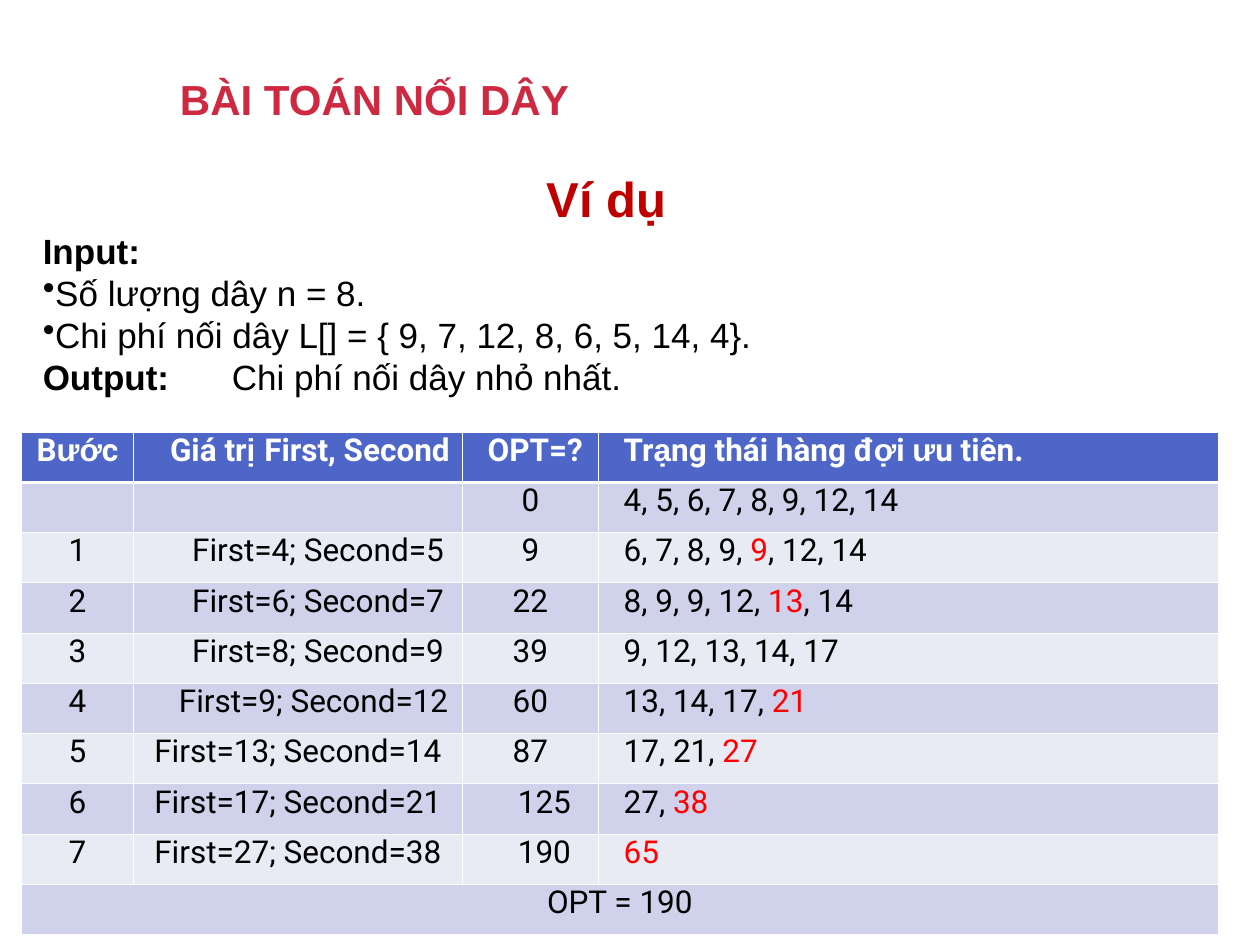
from lxml import etree
from pptx import Presentation
from pptx import util as u
from pptx.dml.color import RGBColor
from pptx.enum import text
from pptx.oxml import ns

CRIMSON = RGBColor(0xCF, 0x29, 0x41)
DARK_RED = RGBColor(0xC0, 0x00, 0x00)
RED = RGBColor(0xFF, 0x00, 0x00)
BLACK = RGBColor(0x00, 0x00, 0x00)
WHITE = RGBColor(0xFF, 0xFF, 0xFF)
HEADER_BLUE = RGBColor(0x4D, 0x66, 0xC7)
BAND_DARK = RGBColor(0xCF, 0xD2, 0xEA)
BAND_LIGHT = RGBColor(0xE8, 0xEA, 0xF4)

LEFT, CENTER, RIGHT = text.PP_ALIGN.LEFT, text.PP_ALIGN.CENTER, text.PP_ALIGN.RIGHT

HEADER = ["B|ướ|c", "Giá tr|ị |First, Second", "OPT=?", "Tr|ạ|ng thái hàng đ|ợ|i |ư|u tiên."]
HEADER_LAYOUT = [(CENTER, 0), (RIGHT, 0), (LEFT, 0.1), (LEFT, 0.1)]
STEPS = [
    ["", "", "0", "4, 5, 6, 7, 8, 9, 12, 14"],
    ["1", "First=4; Second=5", "9", "6, 7, 8, 9, |9|, 12, 14"],
    ["2", "First=6; Second=7", "22", "8, 9, 9, 12, |13|, 14"],
    ["3", "First=8; Second=9", "39", "9, 12, 13, 14, 17"],
    ["4", "First=9; Second=12", "60", "13, 14, 17, |21"],
    ["5", "First=13; Second=14", "87", "17, 21, |27"],
    ["6", "First=17; Second=21", "125", "27, |38"],
    ["7", "First=27; Second=38", "190", "|65"],
]
PAIR_INDENTS = {17: 0.32, 18: 0.25}


class SlideBuilder:
    def __init__(self, slide):
        self.slide = slide
        self.body = {"name": "Arial", "size": u.Pt(20), "bold": False, "color": BLACK}
        self.cell_font = {**self.body, "name": "Roboto", "size": u.Pt(18)}

    def format_font(self, font, values):
        for name, value in values.items():
            if name == "color":
                font.color.rgb = value
            else:
                setattr(font, name, value)

    def paragraph(self, paragraph, runs, indent=0, bullet=None, tab=None, **values):
        for name, value in values.items():
            setattr(paragraph, name, value)
        properties = paragraph._p.get_or_add_pPr()
        properties.set("marL", str(u.Inches(indent)))
        properties.set("indent", "0")
        if bullet:
            color = etree.SubElement(properties, ns.qn("a:buClr"))
            etree.SubElement(color, ns.qn("a:srgbClr"), val=str(BLACK))
            etree.SubElement(properties, ns.qn("a:buChar"), char=bullet)
        if tab:
            tabs = etree.SubElement(properties, ns.qn("a:tabLst"))
            etree.SubElement(tabs, ns.qn("a:tab"), pos=str(u.Inches(tab)), algn="l")
        for content, font in runs:
            run = paragraph.add_run()
            run.text = content
            self.format_font(run.font, font)

    def text_box(self, box, paragraphs, **frame_values):
        shape = self.slide.shapes.add_textbox(*map(u.Inches, box))
        frame = shape.text_frame
        for name, value in {"word_wrap": True, **frame_values}.items():
            setattr(frame, name, value)
        for index, values in enumerate(paragraphs):
            paragraph = frame.add_paragraph() if index else frame.paragraphs[0]
            self.paragraph(paragraph, **values)

    def border(self, cell, side, width):
        properties = cell._tc.get_or_add_tcPr()
        line = etree.SubElement(properties, ns.qn(f"a:ln{side}"), w=str(u.Pt(width)))
        fill = etree.SubElement(line, ns.qn("a:solidFill"))
        etree.SubElement(fill, ns.qn("a:srgbClr"), val=str(WHITE))

    def cell(self, cell, content, layout, fill, font, accent, widths):
        for side, width in zip("LRTB", widths):
            self.border(cell, side, width)
        cell.fill.solid()
        cell.fill.fore_color.rgb = fill
        cell.margin_top = cell.margin_bottom = 0
        alignment, indent = layout
        parts = enumerate(content.split("|"))
        runs = [(part, {**font, **accent} if index % 2 else font) for index, part in parts if part]
        paragraph = cell.text_frame.paragraphs[0]
        self.format_font(paragraph.font, font)
        self.paragraph(paragraph, runs, indent, alignment=alignment, space_before=u.Pt(3.3))

    def table(self, box, column_widths, rows):
        shape = self.slide.shapes.add_table(len(rows), len(column_widths), *map(u.Inches, box))
        table = shape.table
        table.first_row = table.horz_banding = False
        for column, width in zip(table.columns, column_widths):
            column.width = u.Inches(width)
        for row in table.rows:
            row.height = u.Inches(box[3] / len(rows))
        for row_index, row in enumerate(rows):
            header = row_index == 0
            fill = HEADER_BLUE if header else BAND_DARK if row_index % 2 else BAND_LIGHT
            font = {**self.cell_font, "bold": header, "color": WHITE if header else BLACK}
            accent = {"name": "Arial"} if header else {"color": RED}
            top = 2.1 if row_index == 1 else 0.75
            bottom = 2.1 if header else 0.75
            for column_index, (content, layout) in enumerate(row):
                left = 0.45 if column_index == 1 else 0.75
                right = 0.45 if column_index == 0 else 0.75
                cell = table.cell(row_index, column_index)
                self.cell(cell, content, layout, fill, font, accent, (left, right, top, bottom))
        return table


def step_layout(row):
    pair_indent = PAIR_INDENTS.get(len(row[1]), 0)
    cost_layout = (LEFT, 0.34) if len(row[2]) == 3 else (CENTER, 0)
    return [(CENTER, 0), (CENTER, pair_indent), cost_layout, (LEFT, 0.1)]


def main():
    presentation = Presentation()
    presentation.slide_width, presentation.slide_height = u.Inches(10), u.Inches(7.5)
    builder = SlideBuilder(presentation.slides.add_slide(presentation.slide_layouts[6]))
    body = builder.body
    bold = {**body, "bold": True}

    title_font = {**bold, "size": u.Pt(24), "color": CRIMSON}
    title = {"runs": [("BÀI TOÁN NỐI DÂY", title_font)], "line_spacing": 0.9}
    builder.text_box((1.33, 0.4, 7.98, 0.82), [title], vertical_anchor=text.MSO_ANCHOR.MIDDLE)

    rows = [list(zip(HEADER, HEADER_LAYOUT))]
    rows += [list(zip(row, step_layout(row))) for row in STEPS]
    rows.append([("OPT = 190", (CENTER, 0))] + [("", (CENTER, 0))] * 3)
    table = builder.table((0.17, 3.43, 9.5, 3.99), (0.89, 2.61, 1.08, 4.92), rows)
    table.cell(9, 0).merge(table.cell(9, 3))

    heading_font = {**bold, "size": u.Pt(28), "color": DARK_RED}
    bullets = ["Số lượng dây n = 8.", "Chi phí nối dây L[] = { 9, 7, 12, 8, 6, 5, 14, 4}."]
    output = [("Output:\t", bold), ("Chi phí nối dây nhỏ nhất.", body)]
    example = [
        {"runs": [("Ví dụ", heading_font)], "indent": 4.01, "space_before": u.Pt(0.9)},
        {"runs": [("Input:", bold)], "indent": 0.01, "space_before": u.Pt(0.9)},
        *({"runs": [(item, body)], "indent": 0.01, "bullet": "•"} for item in bullets),
        {"runs": output, "indent": 0.01, "tab": 1.25},
    ]
    builder.text_box((0.33, 1.33, 9.17, 1.83), example, margin_left=0, margin_right=0,
                     margin_top=u.Inches(0.01), margin_bottom=0)

    presentation.save("out.pptx")


if __name__ == "__main__":
    main()
